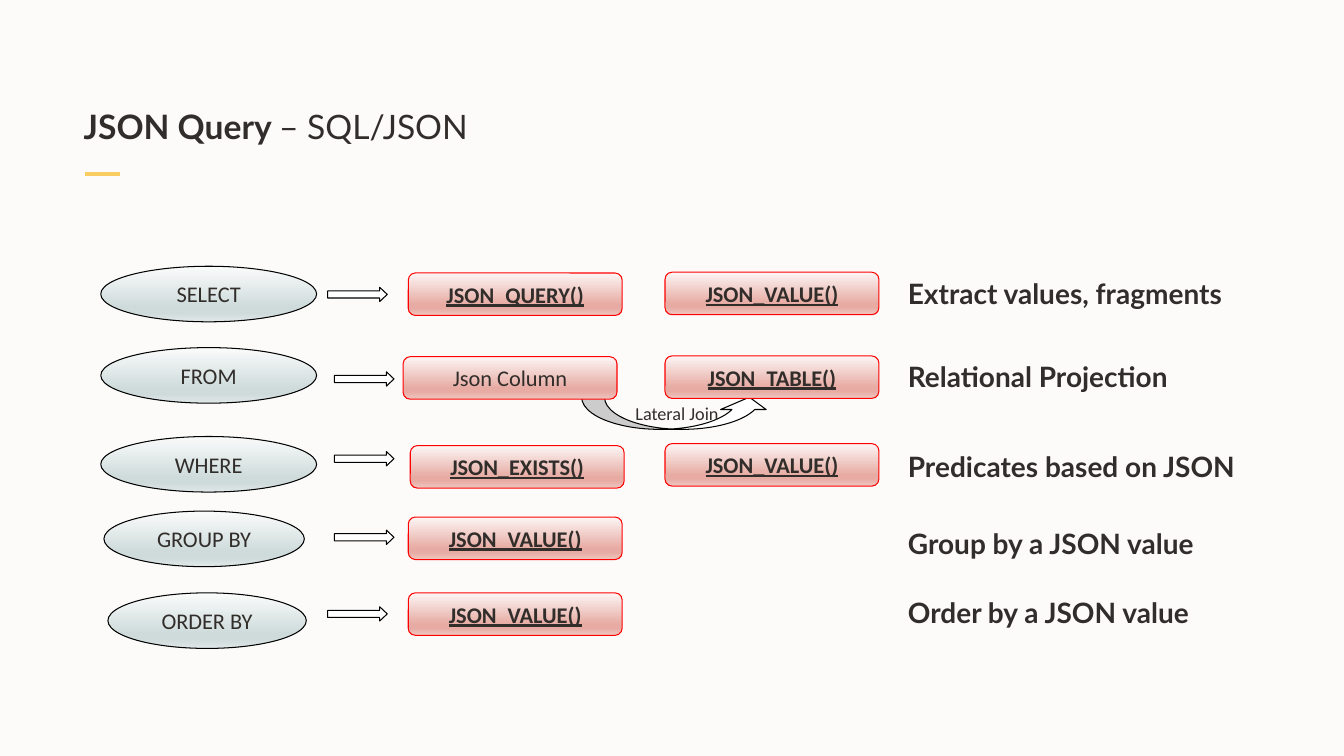
from pptx import Presentation
from pptx.dml.color import RGBColor
from pptx.enum.shapes import MSO_CONNECTOR as Connector, MSO_SHAPE as Shape
from pptx.enum.text import MSO_ANCHOR as Anchor, PP_ALIGN as Align
from pptx.oxml import parse_xml
from pptx.oxml.ns import nsdecls, qn
from pptx.util import Cm, Pt

# Content: lengths in centimetres
TITLE = [("JSON Query ", True), ("– SQL/JSON", False)]
JOIN_LABEL = "Lateral Join"
COLUMN_LABEL = "Json Column"

# clause: text, left, top, width; arrow: left, top;
# source: text, left, top; function: text, top (or None); note: text, top
ROWS = [
    dict(clause=("SELECT", 2.54, 6.71, 5.44), arrow=(8.26, 7.24),
         source=("JSON_QUERY()", 10.29, 6.88), function=("JSON_VALUE()", 6.86),
         note=("Extract values, fragments", 6.88)),
    dict(clause=("FROM", 2.54, 8.76, 5.44), arrow=(8.43, 9.37),
         source=(COLUMN_LABEL, 10.16, 8.99), function=("JSON_TABLE()", 8.97),
         note=("Relational Projection", 8.97)),
    dict(clause=("WHERE", 2.54, 11, 5.44), arrow=(8.43, 11.38),
         source=("JSON_EXISTS()", 10.34, 11.23), function=("JSON_VALUE()", 11.18),
         note=("Predicates based on JSON", 11.23)),
    dict(clause=("GROUP BY", 2.62, 12.88, 5.05), arrow=(8.43, 13.36),
         source=("JSON_VALUE()", 10.29, 13.03), function=None,
         note=("Group by a JSON value", 13.18)),
    dict(clause=("ORDER BY", 2.72, 14.94, 5), arrow=(8.26, 15.29),
         source=("JSON_VALUE()", 10.29, 14.94), function=None,
         note=("Order by a JSON value", 14.91)),
]

FUNCTION_LEFT, NOTE_LEFT = 16.76, 22.63
CLAUSE_HEIGHT = 1.4
ARROW_SIZE, BOX_SIZE, NOTE_SIZE = (1.5, 0.36), (5.39, 1.07), (9.04, 1.04)


class Theme:
    background, ink, accent = "FCFBFA", "312D2A", "FACD62"
    outline, box_outline, plain = "000000", "FF0000", "FFFFFF"
    clause_fill = [(0, "FAFBFB"), (74, "CFDBDB"), (83, "CFDBDB"), (100, "DFE7E7")]
    box_fill = [(0, "FCF6F5"), (74, "E7ABA3"), (83, "E7ABA3"), (100, "EFC7C1")]
    thin, thick = Pt(0.75), Pt(3)
    title = dict(name="Lato", size=Pt(24))
    note = dict(name="Lato", size=Pt(20), bold=True)
    label = dict(name="Calibri", size=Pt(16))
    function = dict(label, bold=True, underline=True)
    join = dict(name="Calibri", size=Pt(13))


def colour(value):
    return RGBColor.from_string(value)


def set_attributes(target, values):
    for name, value in values.items():
        setattr(target, name, value)


def add_run(paragraph, text, style):
    run = paragraph.add_run()
    run.text = text
    set_attributes(run.font, style)
    run.font.color.rgb = colour(Theme.ink)


def fill_gradient(shape, stops):
    """Fill a shape from top to bottom with (percent, colour) stops."""
    shape.fill.gradient()
    shape.fill.gradient_angle = 270
    gradient = shape._element.spPr.find(qn("a:gradFill"))
    entries = "".join(
        f'<a:gs pos="{percent * 1000}"><a:srgbClr val="{value}"/></a:gs>'
        for percent, value in stops)
    gradient.replace(
        gradient.find(qn("a:gsLst")),
        parse_xml(f'<a:gsLst {nsdecls("a")}>{entries}</a:gsLst>'))


def add_figure(slide, kind, box, fill, outline, adjustments=(), text="", style=None):
    shape = slide.shapes.add_shape(kind, *map(Cm, box))
    shape.shadow.inherit = False
    for index, value in enumerate(adjustments):
        shape.adjustments[index] = value
    if isinstance(fill, list):
        fill_gradient(shape, fill)
    else:
        shape.fill.solid()
        shape.fill.fore_color.rgb = colour(fill)
    shape.line.color.rgb = colour(outline)
    shape.line.width = Theme.thin
    if text:
        set_attributes(shape.text_frame,
                       dict(word_wrap=False, vertical_anchor=Anchor.MIDDLE))
        paragraph = shape.text_frame.paragraphs[0]
        paragraph.alignment = Align.CENTER
        add_run(paragraph, text, style)


def add_box(slide, text, left, top):
    style = Theme.label if text == COLUMN_LABEL else Theme.function
    add_figure(slide, Shape.ROUNDED_RECTANGLE, (left, top, *BOX_SIZE),
               Theme.box_fill, Theme.box_outline, [0.167], text, style)


def add_text(slide, box, runs, style, **frame_values):
    frame = slide.shapes.add_textbox(*map(Cm, box)).text_frame
    set_attributes(frame, dict(word_wrap=True, **frame_values))
    for text, bold in runs:
        add_run(frame.paragraphs[0], text, dict(style, bold=bold))
    return frame.paragraphs[0]


def add_heading(slide):
    accent = slide.shapes.add_connector(
        Connector.STRAIGHT, Cm(3.02), Cm(4.39), Cm(2.13), Cm(4.39))
    accent.line.color.rgb = colour(Theme.accent)
    accent.line.width = Theme.thick
    accent._element.spPr.append(parse_xml(f'<a:effectLst {nsdecls("a")}/>'))
    paragraph = add_text(
        slide, (2.11, 1.42, 29.64, 2.29), TITLE, Theme.title,
        vertical_anchor=Anchor.BOTTOM,
        margin_left=0, margin_top=0, margin_right=0, margin_bottom=0)
    paragraph.line_spacing = 0.95


def add_row(slide, row):
    text, left, top, width = row["clause"]
    add_figure(slide, Shape.OVAL, (left, top, width, CLAUSE_HEIGHT),
               Theme.clause_fill, Theme.outline, text=text, style=Theme.label)
    add_figure(slide, Shape.RIGHT_ARROW, (*row["arrow"], *ARROW_SIZE),
               Theme.plain, Theme.outline, [0.5, 0.53])
    add_box(slide, *row["source"])
    if row["function"]:
        text, top = row["function"]
        add_box(slide, text, FUNCTION_LEFT, top)
    text, top = row["note"]
    add_text(slide, (NOTE_LEFT, top, *NOTE_SIZE), [(text, True)], Theme.note,
             vertical_anchor=Anchor.MIDDLE)


def main():
    presentation = Presentation()
    presentation.slide_width, presentation.slide_height = Cm(33.87), Cm(19.05)
    slide = presentation.slides.add_slide(presentation.slide_layouts[6])
    slide.background.fill.solid()
    slide.background.fill.fore_color.rgb = colour(Theme.background)
    add_heading(slide)
    add_figure(slide, Shape.CURVED_UP_ARROW, (14.66, 10.01, 4.8, 0.81),
               Theme.plain, Theme.outline, [0.71, 1.419, 0.383],
               JOIN_LABEL, Theme.join)
    for row in ROWS:
        add_row(slide, row)
    presentation.save("out.pptx")


if __name__ == "__main__":
    main()
